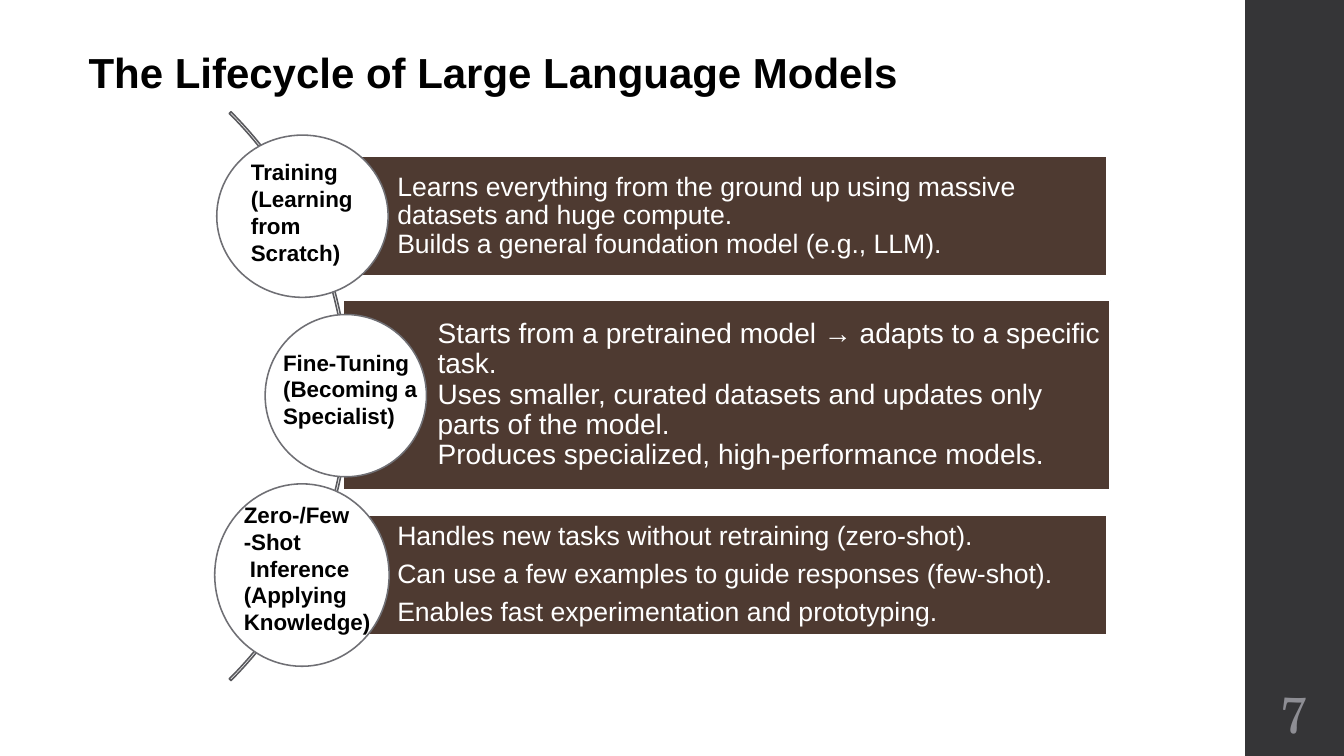
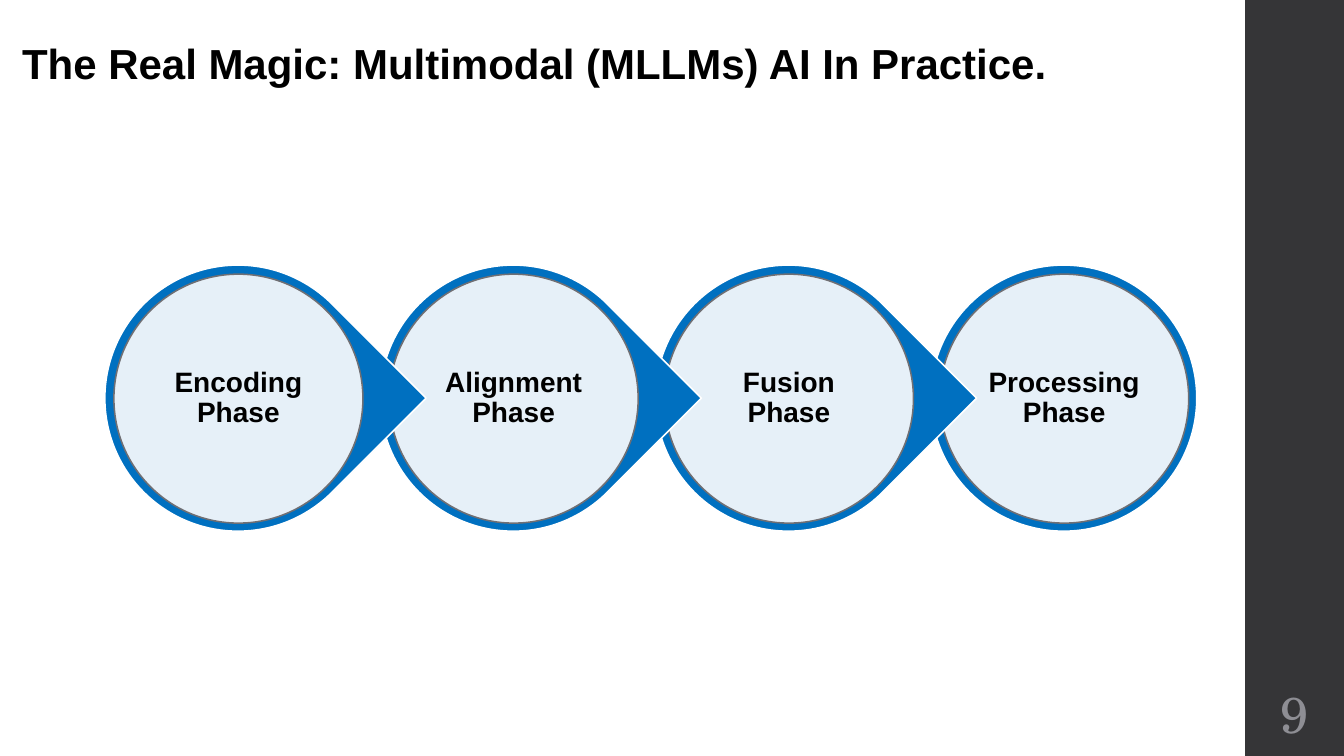
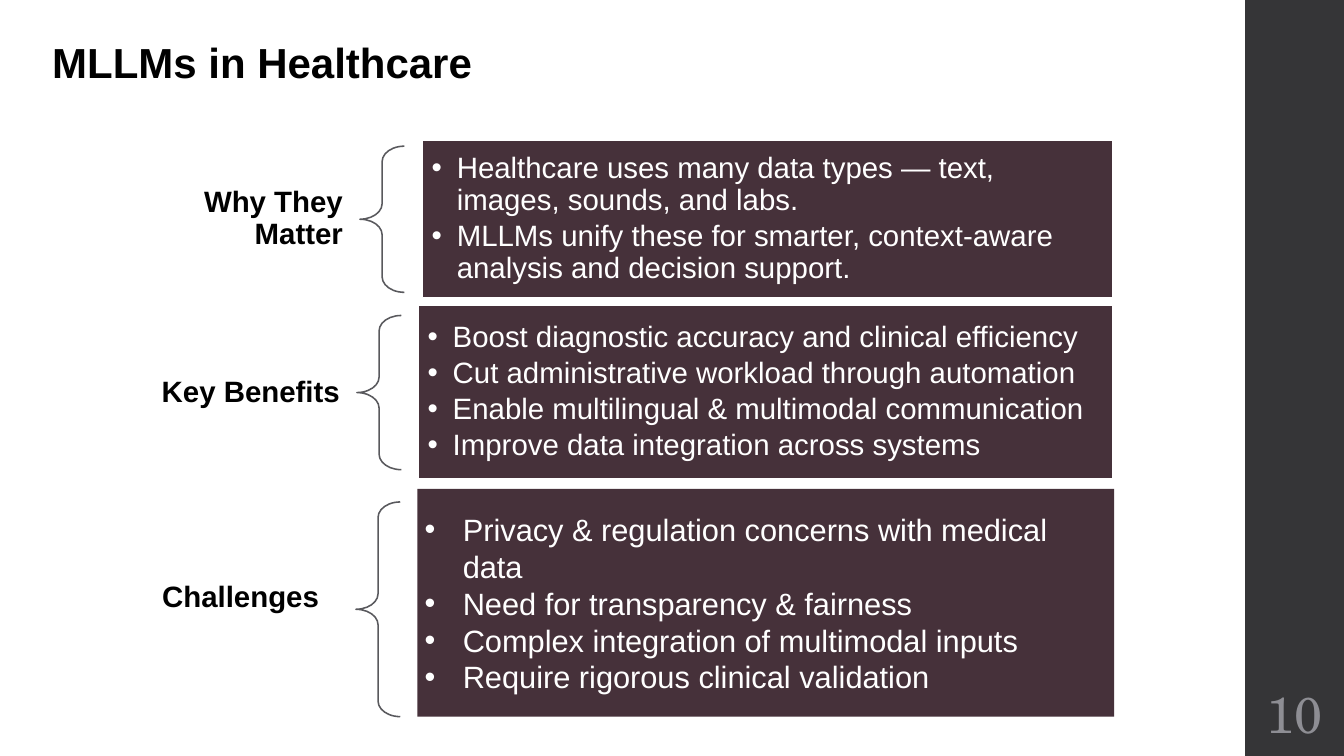
"""Build three slides on language models: lifecycle, phases and healthcare."""
from lxml import etree
from pptx import Presentation
from pptx import util as u
from pptx.dml.color import RGBColor
from pptx.enum import shapes, text
from pptx.oxml.ns import qn

PX = 9144
KIND = shapes.MSO_SHAPE
LEFT, MID, RIGHT = text.PP_ALIGN.LEFT, text.PP_ALIGN.CENTER, text.PP_ALIGN.RIGHT
TOP, CENTRE = text.MSO_ANCHOR.TOP, text.MSO_ANCHOR.MIDDLE


class Theme:
    white, black = "FFFFFF", "000000"
    band, number = "353537", "8E8E94"
    brown, plum, blue = "4E3A31", "46313A", "0070C0"
    rim, stroke = "6F6F74", "59595D"
    sans, serif = "Arial", "TeX Gyre Schola"
    title, page, tag, phase, label = 30, 36, 16, 20, 21
    thin, tight = 1.1, 0.9


PAGES = [
    ("7", "The Lifecycle of Large Language Models", (78, 41, 1005, 61)),
    ("9", "The Real Magic: Multimodal (MLLMs) AI In Practice.", (12, 32, 1215, 94)),
    ("10", "MLLMs in Healthcare", (42, 31, 833, 61)),
]

STAGES = [
    dict(bar=(300, 155, 798, 119), disc=(215, 134, 170, 161), spot=(239, 152, 154, 118),
         size=19, pad=5, name="Training\n(Learning from Scratch)",
         notes=["Learns everything from the ground up using massive datasets and huge compute.\n"
                "Builds a general foundation model (e.g., LLM)."]),
    dict(bar=(340, 298, 761, 188), disc=(263, 312, 160, 161), spot=(271, 341, 167, 91),
         size=20, pad=6, name="Fine-Tuning (Becoming a Specialist)",
         notes=["Starts from a pretrained model → adapts to a specific task.\n"
                "Uses smaller, curated datasets and updates only parts of the model.\n"
                "Produces specialized, high-performance models."]),
    dict(bar=(300, 511, 798, 119), disc=(213, 480, 173, 181), spot=(232, 492, 167, 145),
         size=19, pad=5, name="Zero-/Few\n-Shot\n Inference (Applying Knowledge)",
         notes=["Handles new tasks without retraining (zero-shot).",
                "Can use a few examples to guide responses (few-shot).",
                "Enables fast experimentation and prototyping."]),
]

PHASES = ["Encoding Phase", "Alignment Phase", "Fusion Phase", "Processing Phase"]

LOOSE = dict(size=21, pad=(9, 9, 9, 9), hang=25, after=0.15, lead=Theme.tight)
DENSE = dict(size=22, pad=(7, 7, 7, 7), hang=38)
ASIDE = dict(pad=(16, 6, 16, 6), align=RIGHT, anchor=CENTRE, lead=Theme.tight)
TOPICS = [
    ("Why They Matter", (134, 181, 222, 72), ASIDE, (357, 145, 44, 145),
     (419, 139, 685, 156), Theme.white, LOOSE,
     ["Healthcare uses many data types — text, images, sounds, and labs.",
      "MLLMs unify these for smarter, context-aware analysis and decision support."]),
    ("Key Benefits", (134, 367, 219, 45), ASIDE, (354, 313, 44, 153),
     (415, 303, 689, 172), Theme.white, LOOSE,
     ["Boost diagnostic accuracy and clinical efficiency",
      "Cut administrative workload through automation",
      "Enable multilingual & multimodal communication",
      "Improve data integration across systems"]),
    ("Challenges", (151, 569, 201, 47), {}, (353, 498, 44, 213),
     (414, 485, 691, 226), None, DENSE,
     ["Privacy & regulation concerns with medical data",
      "Need for transparency & fairness",
      "Complex integration of multimodal inputs",
      "Require rigorous clinical validation"]),
]


def scale(at):
    return [n * PX for n in at]


def draw(slide, kind, at, fill=None, line=None, adj=(), alpha=None):
    shape = slide.shapes.add_shape(kind, *scale(at))
    shape.shadow.inherit = False
    for i, n in enumerate(adj):
        shape.adjustments[i] = n
    if fill:
        shape.fill.solid()
        shape.fill.fore_color.rgb = RGBColor.from_string(fill)
        if alpha:
            tint = shape.fill._xPr.find(".//" + qn("a:srgbClr"))
            etree.SubElement(tint, qn("a:alpha")).set("val", str(alpha * 1000))
    else:
        shape.fill.background()
    if line:
        shape.line.color.rgb = RGBColor.from_string(line)
        shape.line.width = u.Pt(Theme.thin)
    else:
        shape.line.fill.background()
    return shape


def write(shape, lines, size, color=Theme.black, bold=False, font=Theme.sans, align=LEFT,
          anchor=TOP, pad=(10, 5, 10, 5), lead=None, after=0, hang=0):
    frame = shape.text_frame
    frame.word_wrap = True
    frame.vertical_anchor = anchor
    (frame.margin_left, frame.margin_top,
     frame.margin_right, frame.margin_bottom) = scale(pad)
    for i, line in enumerate(lines):
        para = frame.add_paragraph() if i else frame.paragraphs[0]
        para.text = line
        para.alignment = align
        if lead:
            para.line_spacing = lead
        if after:
            para.space_after = u.Pt(round(size * after, 1))
        if hang:
            prop = para._p.get_or_add_pPr()
            prop.set("marL", str(hang * PX))
            prop.set("indent", str(-hang * PX))
            etree.SubElement(prop, qn("a:buFont")).set("typeface", Theme.sans)
            etree.SubElement(prop, qn("a:buChar")).set("char", "•")
        for run in para.runs:
            run.font.name = font
            run.font.size = u.Pt(size)
            run.font.bold = bold
            run.font.color.rgb = RGBColor.from_string(color)


def label(slide, at, line, size, **style):
    write(slide.shapes.add_textbox(*scale(at)), [line], size, **style)


def start(deck, page, title, at):
    slide = deck.slides.add_slide(deck.slide_layouts[6])
    draw(slide, KIND.RECTANGLE, (1235, 0, 98, 750), Theme.band)
    label(slide, at, title, Theme.title, bold=True)
    label(slide, (1235, 675, 98, 65), page, Theme.page, color=Theme.number,
          font=Theme.serif, align=MID, anchor=CENTRE, pad=(5, 5, 5, 5))
    return slide


def cycle(slide):
    draw(slide, KIND.BLOCK_ARC, (-452, -6, 798, 798), line=Theme.stroke, adj=(189, 27, 0.003))
    for row in STAGES:
        bar = draw(slide, KIND.RECTANGLE, row["bar"], Theme.brown, Theme.white)
        pad = row["pad"]
        write(bar, row["notes"], row["size"], Theme.white, anchor=CENTRE,
              pad=(94, pad, pad, pad), lead=Theme.tight, after=0.35)
        draw(slide, KIND.OVAL, row["disc"], Theme.white, Theme.rim)
        label(slide, row["spot"], row["name"], Theme.tag, bold=True)


def chain(slide):
    left, top, step, outer, inner, inset = 104, 263, 273, 264, 247, 9
    last = len(PHASES) - 1
    for i in range(last, -1, -1):
        x = left + i * step
        at = (x, top, outer, outer)
        if i == last:
            draw(slide, KIND.OVAL, at, Theme.blue, Theme.white)
        else:
            drop = draw(slide, KIND.TEAR, at, Theme.blue, Theme.white, adj=(1,))
            drop.rotation = 45
        disc = draw(slide, KIND.OVAL, (x + inset, top + inset, inner, inner),
                    Theme.white, Theme.rim, alpha=90)
        write(disc, [PHASES[i]], Theme.phase, bold=True, align=MID, anchor=CENTRE,
              pad=(3, 3, 3, 3), lead=Theme.tight)


def health(slide):
    for name, spot, look, brace, panel, line, style, notes in TOPICS:
        label(slide, spot, name, Theme.label, bold=True, **look)
        draw(slide, KIND.LEFT_BRACE, brace, line=Theme.stroke, adj=(0.35, 0.5))
        box = draw(slide, KIND.RECTANGLE, panel, Theme.plum, line)
        write(box, notes, color=Theme.white, anchor=CENTRE, **style)


def main():
    deck = Presentation()
    deck.slide_width, deck.slide_height = scale((1333, 750))
    for page, fill in zip(PAGES, (cycle, chain, health)):
        fill(start(deck, *page))
    deck.save("out.pptx")


if __name__ == "__main__":
    main()
